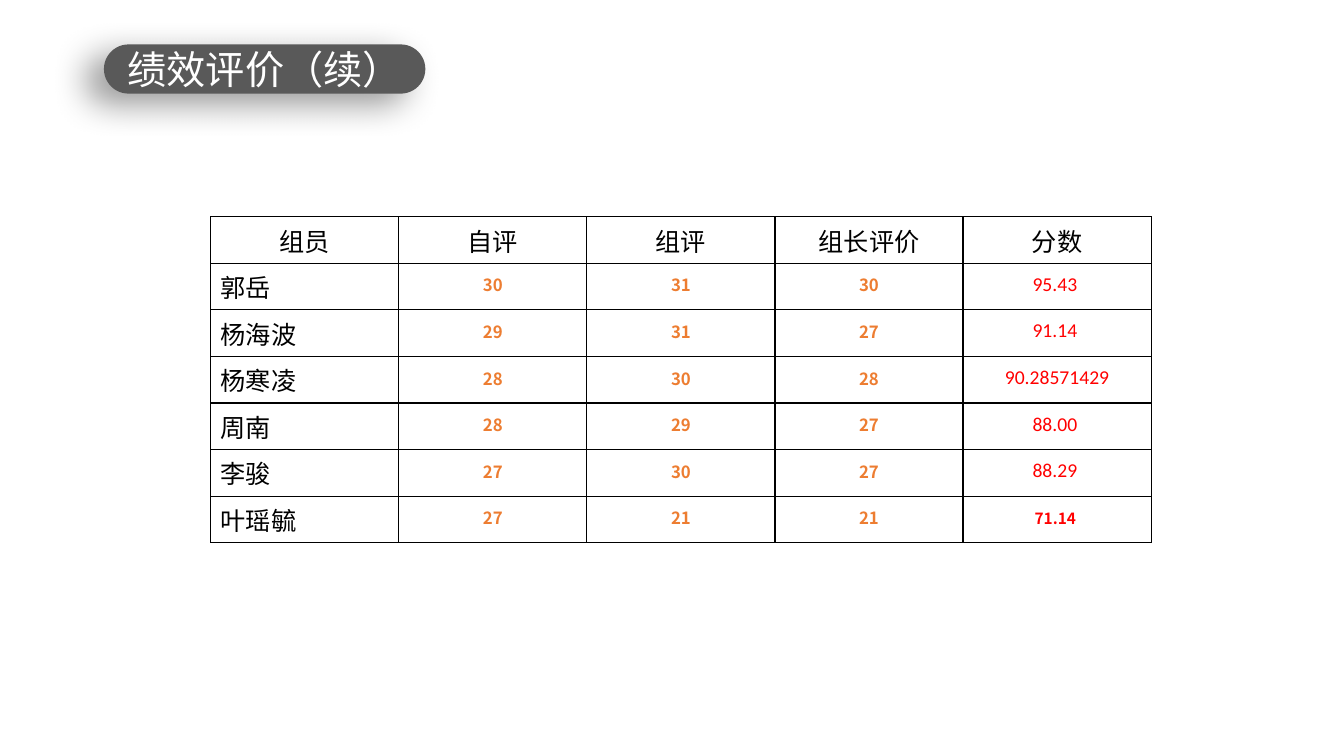
from lxml.etree import SubElement
from pptx import Presentation
from pptx.dml.color import RGBColor
from pptx.enum.shapes import MSO_SHAPE as Shape
from pptx.enum.text import MSO_ANCHOR as Anchor, MSO_AUTO_SIZE as AutoSize, PP_ALIGN as Align
from pptx.oxml import parse_xml
from pptx.oxml.ns import nsdecls, qn
from pptx.util import Cm, Pt

BLACK = RGBColor(0x00, 0x00, 0x00)
WHITE = RGBColor(0xFF, 0xFF, 0xFF)
GREY = RGBColor(0x59, 0x59, 0x59)
ORANGE = RGBColor(0xED, 0x7D, 0x31)
RED = RGBColor(0xFF, 0x00, 0x00)

TITLE_BOX = (Cm(2.62), Cm(1.12), Cm(8.1), Cm(1.24))
HEADINGS = ("组员", "自评", "组评", "组长评价", "分数")
RATINGS = (
    ("郭岳", "30", "31", "30", "95.43 "),
    ("杨海波", "29", "31", "27", "91.14 "),
    ("杨寒凌", "28", "30", "28", "90.28571429"),
    ("周南", "28", "29", "27", "88.00 "),
    ("李骏", "27", "30", "27", "88.29 "),
    ("叶瑶毓", "27", "21", "21", "71.14 "),
)


class RatingSlide:
    """Holds the fonts and the current slide, and draws its elements."""

    latin = "Calibri"
    chinese = "Noto Sans CJK SC"

    def __init__(self, deck):
        """Add a title-only slide to the deck."""
        self.slide = deck.slides.add_slide(deck.slide_layouts[5])

    def add_text(self, frame, text, size, color, font=latin, bold=False, align=Align.CENTER):
        """Put one run into the first paragraph of a text frame."""
        paragraph = frame.paragraphs[0]
        paragraph.alignment = align
        run = paragraph.add_run()
        run.text = text
        run.font.size = Pt(size)
        run.font.bold = bold
        run.font.name = font
        run.font.color.rgb = color
        SubElement(run._r.rPr, qn("a:ea"), typeface=self.chinese)

    def pill(self, box):
        """Draw the rounded grey bar with a soft shadow."""
        bar = self.slide.shapes.add_shape(Shape.ROUNDED_RECTANGLE, *box)
        bar.adjustments[0] = 0.5
        bar.fill.solid()
        bar.fill.fore_color.rgb = GREY
        bar.line.fill.background()
        bar.shadow.inherit = False
        effects = bar._element.spPr.find(qn("a:effectLst"))
        effects.append(parse_xml(
            f'<a:outerShdw {nsdecls("a")} blurRad="{Pt(25)}" dist="{Pt(15)}" '
            f'dir="{150 * 60000}" algn="ctr" rotWithShape="0">'
            f'<a:srgbClr val="{BLACK}"><a:alpha val="40000"/></a:srgbClr></a:outerShdw>'))

    def title(self, text, box):
        """Place the title on its bar."""
        self.pill(box)
        heading = self.slide.shapes.title
        heading.left, heading.top, heading.width, heading.height = box
        self.slide.shapes._spTree.append(heading._element)
        frame = heading.text_frame
        frame.auto_size = AutoSize.NONE
        frame.word_wrap = True
        frame.vertical_anchor = Anchor.MIDDLE
        frame.margin_left = frame.margin_right = Cm(0.25)
        frame.margin_top = frame.margin_bottom = Cm(0.13)
        self.add_text(frame, text, 28, WHITE)

    def outline(self, cell):
        """Give a cell no fill and thin black borders."""
        cell.fill.background()
        for place, side in enumerate(("lnL", "lnR", "lnT", "lnB")):
            cell._tc.tcPr.insert(place, parse_xml(
                f'<a:{side} {nsdecls("a")} w="{Pt(1)}"><a:solidFill>'
                f'<a:srgbClr val="{BLACK}"/></a:solidFill></a:{side}>'))

    def tighten(self, cell):
        """Centre a number cell with narrow margins."""
        cell.vertical_anchor = Anchor.MIDDLE
        cell.margin_left = cell.margin_right = cell.margin_top = Cm(0.03)
        cell.margin_bottom = Cm(0.13)

    def table(self, headings, members, left, top, column_width, row_height):
        """Draw the table of ratings and scores."""
        rows, columns = len(members) + 1, len(headings)
        grid = self.slide.shapes.add_table(
            rows, columns, left, top, column_width * columns, row_height * rows).table
        grid.horz_banding = False
        grid.first_row = False
        for cell in grid.iter_cells():
            self.outline(cell)
        for column, heading in enumerate(headings):
            cell = grid.cell(0, column)
            cell.vertical_anchor = Anchor.MIDDLE
            self.add_text(cell.text_frame, heading, 18, BLACK)
        for row, (name, *ratings, score) in enumerate(members, 1):
            self.add_text(grid.cell(row, 0).text_frame, name, 18, BLACK, align=Align.LEFT)
            for column, rating in enumerate(ratings, 1):
                cell = grid.cell(row, column)
                self.tighten(cell)
                self.add_text(cell.text_frame, rating, 12, ORANGE, self.chinese, True)
            cell = grid.cell(row, columns - 1)
            self.tighten(cell)
            if row == len(members):
                self.add_text(cell.text_frame, score, 11, RED, self.chinese, True)
            else:
                self.add_text(cell.text_frame, score, 14, RED)


def main():
    """Build and save the slide."""
    deck = Presentation()
    deck.slide_width, deck.slide_height = Cm(33.87), Cm(19.05)
    page = RatingSlide(deck)
    page.title("绩效评价（续）", TITLE_BOX)
    page.table(HEADINGS, RATINGS, Cm(5.31), Cm(5.46), Cm(4.74), Cm(1.07))
    deck.save("out.pptx")


if __name__ == "__main__":
    main()
